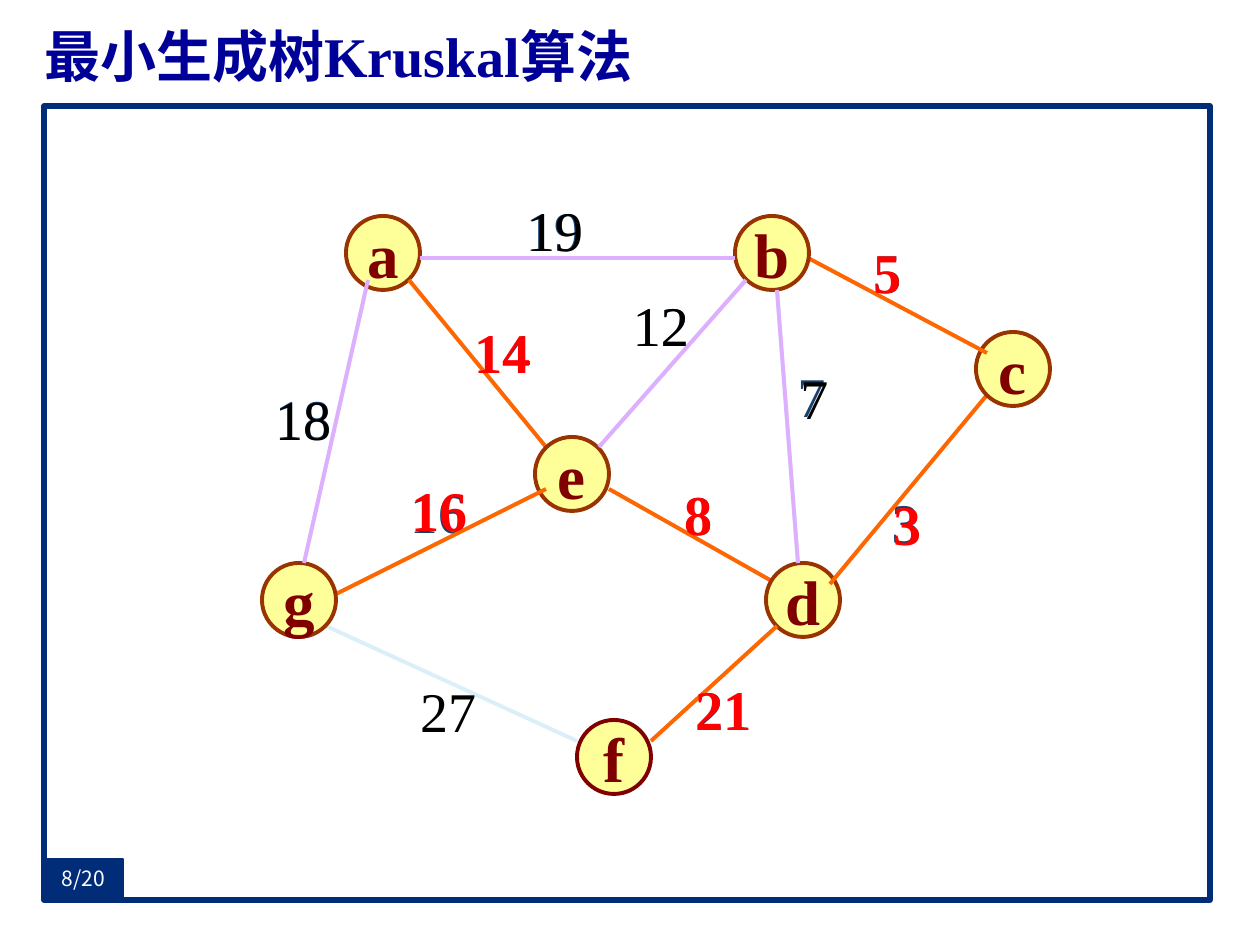
from lxml.etree import SubElement as Sub
from pptx import Presentation
from pptx.dml.color import RGBColor
from pptx.enum.shapes import MSO_CONNECTOR as Link, MSO_SHAPE as Kind
from pptx.enum.text import MSO_ANCHOR as Anchor, MSO_AUTO_SIZE as Auto, PP_ALIGN as Align
from pptx.oxml.ns import qn
from pptx.util import Emu, Pt

NAVY = RGBColor(0x01, 0x2D, 0x78)
EDGE = RGBColor(0x03, 0x2C, 0x75)
BLUE = RGBColor(0x00, 0x00, 0x99)
SLATE = RGBColor(0x17, 0x40, 0x6D)
PALE = RGBColor(0xDB, 0xEF, 0xF9)
LILAC = RGBColor(0xDF, 0xAF, 0xFF)
ORANGE = RGBColor(0xFF, 0x66, 0x00)
RED = RGBColor(0xFF, 0x00, 0x00)
YELLOW = RGBColor(0xFF, 0xFF, 0x99)
BROWN = RGBColor(0x99, 0x33, 0x00)
MAROON = RGBColor(0x80, 0x00, 0x00)
BLACK = RGBColor(0x00, 0x00, 0x00)
WHITE = RGBColor(0xFF, 0xFF, 0xFF)
SERIF, SANS = "Times New Roman", "Noto Sans CJK SC"

TITLE = "最小生成树Kruskal算法"
PAGE = "8/20"
NODES = {
    "a": (346, 216), "b": (735, 216), "c": (976, 332), "d": (766, 563),
    "e": (535, 437), "f": (577, 720), "g": (262, 563),
}
EDGES = {
    "ab": (420, 258, 735, 258), "ae": (409, 280, 546, 447),
    "be": (746, 280, 599, 447), "ag": (368, 280, 304, 563),
    "ge": (336, 594, 546, 489), "ed": (609, 489, 777, 584),
    "bc": (808, 258, 987, 353), "cd": (987, 395, 830, 584),
    "bd": (777, 290, 798, 563), "gf": (326, 626, 577, 741),
    "df": (777, 626, 651, 741),
}
COSTS = {
    "19": (513, 189), "5": (861, 231), "14": (462, 311), "18": (262, 377),
    "27": (407, 670), "16": (397, 471), "8": (672, 473), "21": (683, 668),
    "3": (879, 481), "12": (620, 284), "7": (785, 355),
}
SHIFTS = {"19": (1, 0), "18": (0, 1), "16": (2, -2), "3": (2, 2), "7": (3, 2)}
STEPS = ["a", "ae", "e", "ed", "d", "cd", "c", "bc", "b", "ge", "g", "df", "f"]
CHOSEN = ["14", "8", "5", "3", "16", "21"]
REJECTS = ["bd", "be", "ag", "ab"]
OTHERS = ["7", "12", "18", "19"]
SIZE = 74

deck = Presentation()
deck.slide_width, deck.slide_height = Emu(9144000), Emu(6858000)
slide = deck.slides.add_slide(deck.slide_layouts[6])
shapes = slide.shapes


def px(*nums):
    """Turn px at 126 to the inch into EMU."""
    return [Emu(round(num * 914400 / 126)) for num in nums]


def write(shape, text, size, color, bold=False, font=SERIF, align=Align.CENTER):
    """Put one styled line of text into a shape."""
    frame = shape.text_frame
    frame.text = text
    para = frame.paragraphs[0]
    para.alignment = align
    run = para.runs[0]
    run.font.name, run.font.size, run.font.bold = font, Pt(size), bold
    run.font.color.rgb = color
    Sub(run.font._element, qn("a:ea"), typeface=SANS)
    return frame


def trim(frame):
    """Remove the insets and centre the text vertically."""
    frame.margin_left = frame.margin_right = frame.margin_top = frame.margin_bottom = 0
    frame.vertical_anchor = Anchor.MIDDLE
    frame.word_wrap = True


def block(kind, box, fill, line, width):
    """Add a filled and outlined shape."""
    shape = shapes.add_shape(kind, *px(*box))
    shape.shadow.inherit = False
    shape.fill.solid()
    shape.fill.fore_color.rgb = fill
    shape.line.color.rgb, shape.line.width = line, Pt(width)
    return shape


def edge(name, color):
    """Draw one edge of the graph."""
    line = shapes.add_connector(Link.STRAIGHT, *px(*EDGES[name]))
    line.line.color.rgb, line.line.width = color, Pt(2.25)
    Sub(line._element.spPr, qn("a:effectLst"))


def node(name):
    """Draw one vertex with its letter."""
    rim = MAROON if name == "f" else BROWN
    disc = block(Kind.OVAL, (*NODES[name], SIZE, SIZE), YELLOW, rim, 2.25)
    frame = write(disc, name, 36, MAROON, True)
    frame.vertical_anchor = Anchor.MIDDLE
    frame.word_wrap = False


def cost(text, color, bold=False, shift=(0, 0)):
    """Write the weight of an edge."""
    left, top = COSTS[text]
    wide = 82 if len(text) == 2 else 53
    box = shapes.add_textbox(*px(left + shift[0], top + shift[1], wide, 79))
    frame = write(box, text, 32, color, bold)
    frame.word_wrap = False
    frame.auto_size = Auto.SHAPE_TO_FIT_TEXT


block(Kind.RECTANGLE, (44, 106, 1166, 794), WHITE, NAVY, 3)
head = shapes.add_textbox(*px(44, 16, 1166, 78))
trim(write(head, TITLE, 32, BLUE, True, align=Align.JUSTIFY))
badge = block(Kind.RECTANGLE, (44, 859, 79, 39), NAVY, EDGE, 0.75)
trim(write(badge, PAGE, 12, WHITE, font=SANS))

for name in EDGES:
    edge(name, PALE)
for text in COSTS:
    cost(text, BLACK if text == "27" else SLATE)
for step in STEPS:
    if step in NODES:
        node(step)
    else:
        edge(step, ORANGE)
for text in CHOSEN:
    cost(text, RED, True, SHIFTS.get(text, (0, 0)))
for name in REJECTS:
    edge(name, LILAC)
for text in OTHERS:
    cost(text, BLACK, shift=SHIFTS.get(text, (0, 0)))

deck.save("out.pptx")
